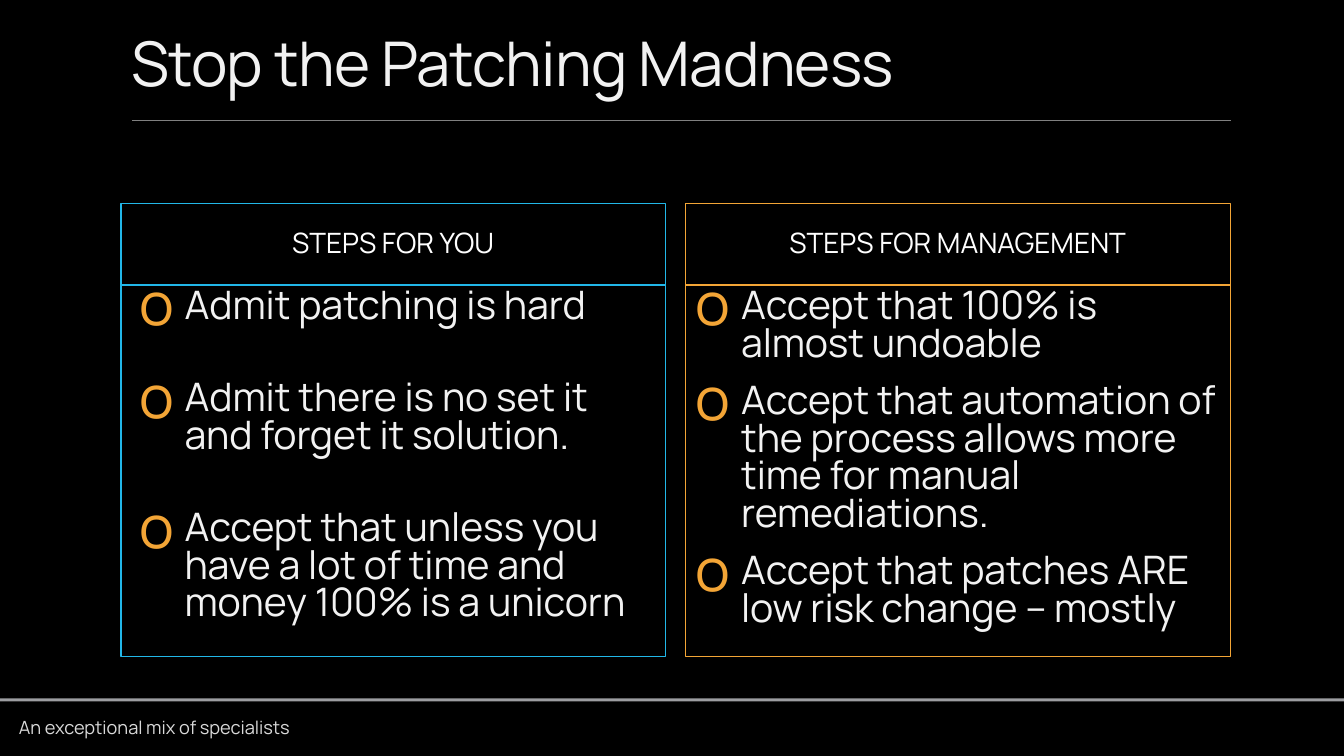
from dataclasses import dataclass

from lxml.etree import SubElement
from pptx import Presentation
from pptx.dml.color import RGBColor
from pptx.enum.shapes import MSO_CONNECTOR, MSO_SHAPE
from pptx.enum.text import MSO_ANCHOR, MSO_AUTO_SIZE, PP_ALIGN
from pptx.oxml.ns import qn
from pptx.util import Inches, Pt


@dataclass(frozen=True)
class Theme:
    font: str = "Manrope"
    background: str = "000000"
    text: str = "F2F2F2"
    heading: str = "FFFFFF"
    footer: str = "D9D9D9"
    rule: str = "808080"
    bar: str = "9C9DA1"
    blue: str = "22B7E8"
    orange: str = "F3A536"
    title_size: int = 44
    list_size: int = 28
    heading_size: int = 20
    footer_size: int = 13


def style(p, size, color, line_spacing=1.0):
    p.line_spacing = line_spacing
    for r in p.runs:
        r.font.name = theme.font
        r.font.size = Pt(size)
        r.font.bold = False
        r.font.color.rgb = RGBColor.from_string(color)


def place(sp, left, top, width, height, anchor=MSO_ANCHOR.TOP):
    """Position a text shape and fix its wrapping and anchor."""
    sp.left, sp.top = Inches(left), Inches(top)
    sp.width, sp.height = Inches(width), Inches(height)
    tf = sp.text_frame
    tf.word_wrap = True
    tf.auto_size = MSO_AUTO_SIZE.NONE
    tf.vertical_anchor = anchor
    return tf


theme = Theme()
prs = Presentation()
prs.slide_width, prs.slide_height = Inches(13.33), Inches(7.5)
slide = prs.slides.add_slide(prs.slide_layouts.get_by_name("Comparison"))
slide.background.fill.solid()
slide.background.fill.fore_color.rgb = RGBColor.from_string(theme.background)

# Footer bar, title rule and tagline
bar = slide.shapes.add_shape(
    MSO_SHAPE.RECTANGLE, 0, Inches(6.93), prs.slide_width, Inches(0.03))
bar.shadow.inherit = False
bar.fill.solid()
bar.fill.fore_color.rgb = RGBColor.from_string(theme.bar)
bar.line.fill.background()

rule = slide.shapes.add_connector(
    MSO_CONNECTOR.STRAIGHT, Inches(1.31), Inches(1.19), Inches(12.21), Inches(1.19))
rule.line.color.rgb = RGBColor.from_string(theme.rule)
rule.line.width = Pt(0.5)
SubElement(rule._element.spPr, qn("a:effectLst"))

tagline = slide.shapes.add_textbox(0, 0, 0, 0)
tf = place(tagline, 0.09, 7.06, 3.16, 0.32)
tf.text = "An exceptional mix of specialists"
style(tf.paragraphs[0], theme.footer_size, theme.footer)

# Title
tf = place(slide.shapes.title, 1.2, 0.31, 11, 1.59)
tf.text = "Stop the Patching Madness"
p = tf.paragraphs[0]
p.alignment = PP_ALIGN.LEFT
style(p, theme.title_size, theme.text, 0.85)
p.runs[0].font._element.set("spc", "-50")

# Columns: left edge, border, heading, text indent, gap between items, items
columns = [
    (1.2, theme.blue, "STEPS FOR YOU", 0.53, 39, [
        "Admit patching is hard",
        "Admit there is no set it and forget it solution.",
        "Accept that unless you have a lot of time and money 100% is a unicorn",
    ]),
    (6.8, theme.orange, "STEPS FOR MANAGEMENT", 0.45, 14, [
        "Accept that 100% is almost undoable",
        "Accept that automation of the process allows more time for manual remediations.",
        "Accept that patches ARE low risk change – mostly",
    ]),
]
bodies = [ph for ph in slide.placeholders if ph.placeholder_format.idx > 0]

for i, (left, border, heading, indent, gap, items) in enumerate(columns):
    heading_box, list_box = bodies[2 * i:2 * i + 2]
    for sp in (heading_box, list_box):
        sp.line.color.rgb = RGBColor.from_string(border)
        sp.line.width = Pt(0.75)

    tf = place(heading_box, left, 2.02, 5.4, 0.81, MSO_ANCHOR.MIDDLE)
    tf.text = heading
    p = tf.paragraphs[0]
    p.alignment = PP_ALIGN.CENTER
    p.space_before = Pt(0)
    style(p, theme.heading_size, theme.heading, 0.9)

    tf = place(list_box, left, 2.82, 5.4, 3.69)
    tf.text = "\n".join(items)
    for n, p in enumerate(tf.paragraphs):
        pPr = p._p.get_or_add_pPr()
        pPr.set("marL", str(Inches(indent)))
        pPr.set("indent", str(Inches(-0.45)))
        SubElement(SubElement(pPr, qn("a:buClr")), qn("a:srgbClr"), val=theme.orange)
        SubElement(pPr, qn("a:buSzPct"), val="150000")
        SubElement(pPr, qn("a:buFont"), typeface=theme.font)
        SubElement(pPr, qn("a:buChar"), char="o")
        p.space_before = Pt(gap if n else 0)
        p.space_after = Pt(0)
        style(p, theme.list_size, theme.text, 0.8)

prs.save("out.pptx")
